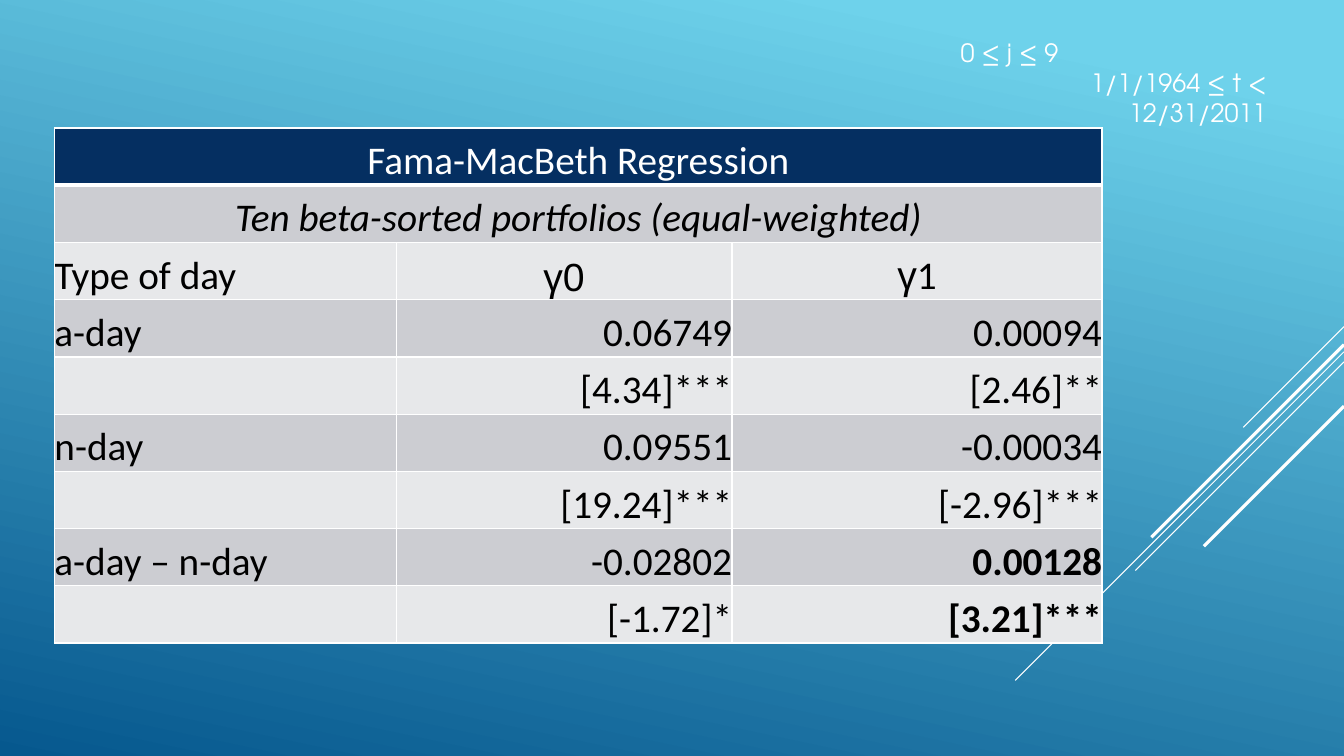
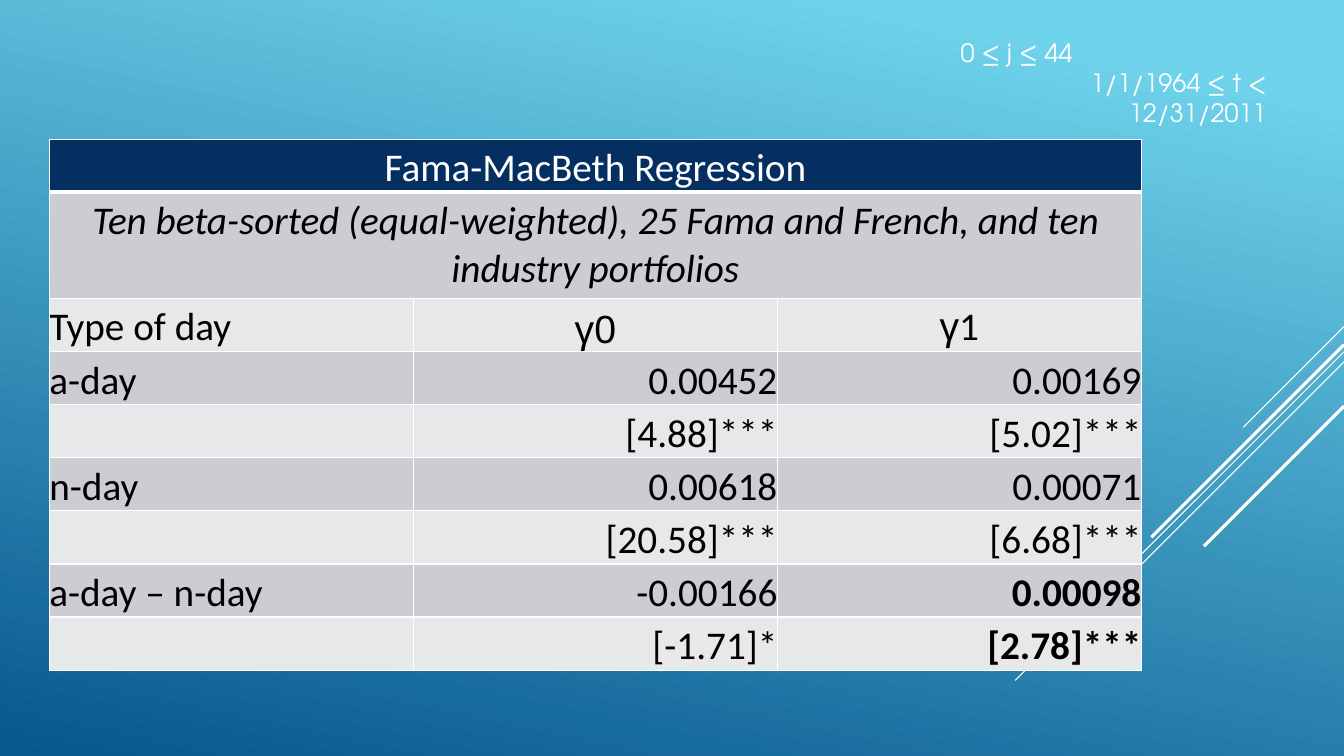
"""Two Fama-MacBeth regression tables on a shared blue gradient theme."""
from lxml.etree import SubElement
from pptx import Presentation
from pptx.dml.color import RGBColor
from pptx.enum.shapes import MSO_CONNECTOR
from pptx.enum.text import MSO_ANCHOR, MSO_AUTO_SIZE, PP_ALIGN
from pptx.oxml.ns import qn
from pptx.util import Inches, Pt

COLORS = {
    "sky": "6ED2EB", "deep": "06588E", "white": "FFFFFF", "black": "000000",
    "header": "052F61", "dark_band": "CCCDD2", "light_band": "E7E8EA",
}
RIGHT_EDGE = 13.33
RAYS = [(3.24, 1, 0.75), (3.49, 3.26, 0.75), (3.59, 2.07, 0.75),
        (3.42, 1.91, 2.25), (4.03, 1.39, 2.25)]
LABELS = ["a-day", "", "n-day", "", "a-day – n-day", ""]

TABLES = [
    {
        "subtitle": "Ten beta-sorted portfolios (equal-weighted)",
        "range": "0 ≤ j ≤ 9",
        "at": (0.54, 1.27), "height": 5.11, "cols": [3.39, 3.33, 3.67],
        "subtitle_rows": 1, "subtitle_anchor": MSO_ANCHOR.BOTTOM,
        "gamma0": ["0.06749", "[4.34]***", "0.09551", "[19.24]***", "-0.02802", "[-1.72]*"],
        "gamma1": ["0.00094", "[2.46]**", "-0.00034", "[-2.96]***", "0.00128", "[3.21]***"],
    },
    {
        "subtitle": "Ten beta-sorted (equal-weighted), 25 Fama and French, and ten industry portfolios",
        "range": "0 ≤ j ≤ 44",
        "at": (0.49, 1.38), "height": 5.27, "cols": [3.61, 3.61, 3.61],
        "subtitle_rows": 2, "subtitle_anchor": MSO_ANCHOR.MIDDLE,
        "gamma0": ["0.00452", "[4.88]***", "0.00618", "[20.58]***", "-0.00166", "[-1.71]*"],
        "gamma1": ["0.00169", "[5.02]***", "0.00071", "[6.68]***", "0.00098", "[2.78]***"],
    },
]


def add_run(p, text, color, **formats):
    r = p.add_run()
    r.text = text
    r.font.color.rgb = RGBColor.from_string(COLORS[color])
    for name, value in formats.items():
        setattr(r.font, name, value)


def set_border(cell, side, width):
    ln = SubElement(cell._tc.get_or_add_tcPr(), qn(f"a:ln{side}"), w=str(Pt(width)))
    fill = SubElement(ln, qn("a:solidFill"))
    SubElement(fill, qn("a:srgbClr"), val=COLORS["white"])


prs = Presentation()
prs.slide_width, prs.slide_height = Inches(RIGHT_EDGE), Inches(7.5)
layout = prs.slide_layouts[6]

fill = prs.slide_master.background.fill
fill.gradient()
fill.gradient_angle = 360 - 102
for stop, position, color in zip(fill.gradient_stops, (0.1, 1), ("sky", "deep")):
    stop.position = position
    stop.color.rgb = RGBColor.from_string(COLORS[color])

slides = [prs.slides.add_slide(layout) for _ in TABLES]

for top, run, width in RAYS:
    ray = slides[0].shapes.add_connector(
        MSO_CONNECTOR.STRAIGHT, Inches(RIGHT_EDGE), Inches(top),
        Inches(RIGHT_EDGE - run), Inches(top + run))
    ray.line.color.rgb = RGBColor.from_string(COLORS["white"])
    ray.line.width = Pt(width)
    SubElement(ray.element.spPr, qn("a:effectLst"))
    layout.shapes.element.append(ray.element)

for s, data in zip(slides, TABLES):
    rows = [["Fama-MacBeth Regression", "", ""], [data["subtitle"], "", ""],
            ["Type of day", "γ0", "γ1"],
            *zip(LABELS, data["gamma0"], data["gamma1"])]
    weights = [1, data["subtitle_rows"]] + [1] * (len(rows) - 2)
    left, top = data["at"]
    table = s.shapes.add_table(
        len(rows), 3, Inches(left), Inches(top),
        Inches(sum(data["cols"])), Inches(data["height"])).table
    table.first_row = table.horz_banding = False
    for col, width in zip(table.columns, data["cols"]):
        col.width = Inches(width)
    for row, weight in zip(table.rows, weights):
        row.height = Inches(data["height"] * weight / sum(weights))
    for i in (0, 1):
        table.cell(i, 0).merge(table.cell(i, 2))

    for i, values in enumerate(rows):
        band = "header" if i == 0 else "dark_band" if i % 2 else "light_band"
        for j, text in enumerate(values):
            cell = table.cell(i, j)
            for side in "LRTB":
                thick = (i, side) in ((0, "B"), (1, "T"))
                set_border(cell, side, 3 if thick else 1)
            cell.fill.solid()
            cell.fill.fore_color.rgb = RGBColor.from_string(COLORS[band])
            cell.margin_left = cell.margin_right = cell.margin_top = cell.margin_bottom = 0
            cell.vertical_anchor = data["subtitle_anchor"] if i == 1 else MSO_ANCHOR.BOTTOM
            if not text:
                continue
            p = cell.text_frame.paragraphs[0]
            if i < 2 or (i == 2 and j):
                p.alignment = PP_ALIGN.CENTER
            else:
                p.alignment = PP_ALIGN.RIGHT if j else PP_ALIGN.LEFT
            parts = [(text, "Calibri")]
            if text == "γ0":
                parts = [(text, "Arial")]
            elif text == "γ1":
                parts = [("γ", "Arial"), ("1", "Calibri")]
            for part, font in parts:
                add_run(p, part, "black" if i else "white", name=font, size=Pt(28),
                        italic=i == 1, bold=i >= len(rows) - 2 and j == 2)

    tf = s.shapes.add_textbox(Inches(9.43), Inches(0.32), Inches(3.23), Inches(0.71)).text_frame
    tf.word_wrap = True
    tf.auto_size = MSO_AUTO_SIZE.SHAPE_TO_FIT_TEXT
    dates = tf.add_paragraph()
    dates.alignment = PP_ALIGN.RIGHT
    for p, text in ((tf.paragraphs[0], data["range"]), (dates, "1/1/1964 ≤ t < 12/31/2011")):
        add_run(p, text, "white", name="TeX Gyre Adventor", size=Pt(18))

prs.save("out.pptx")
